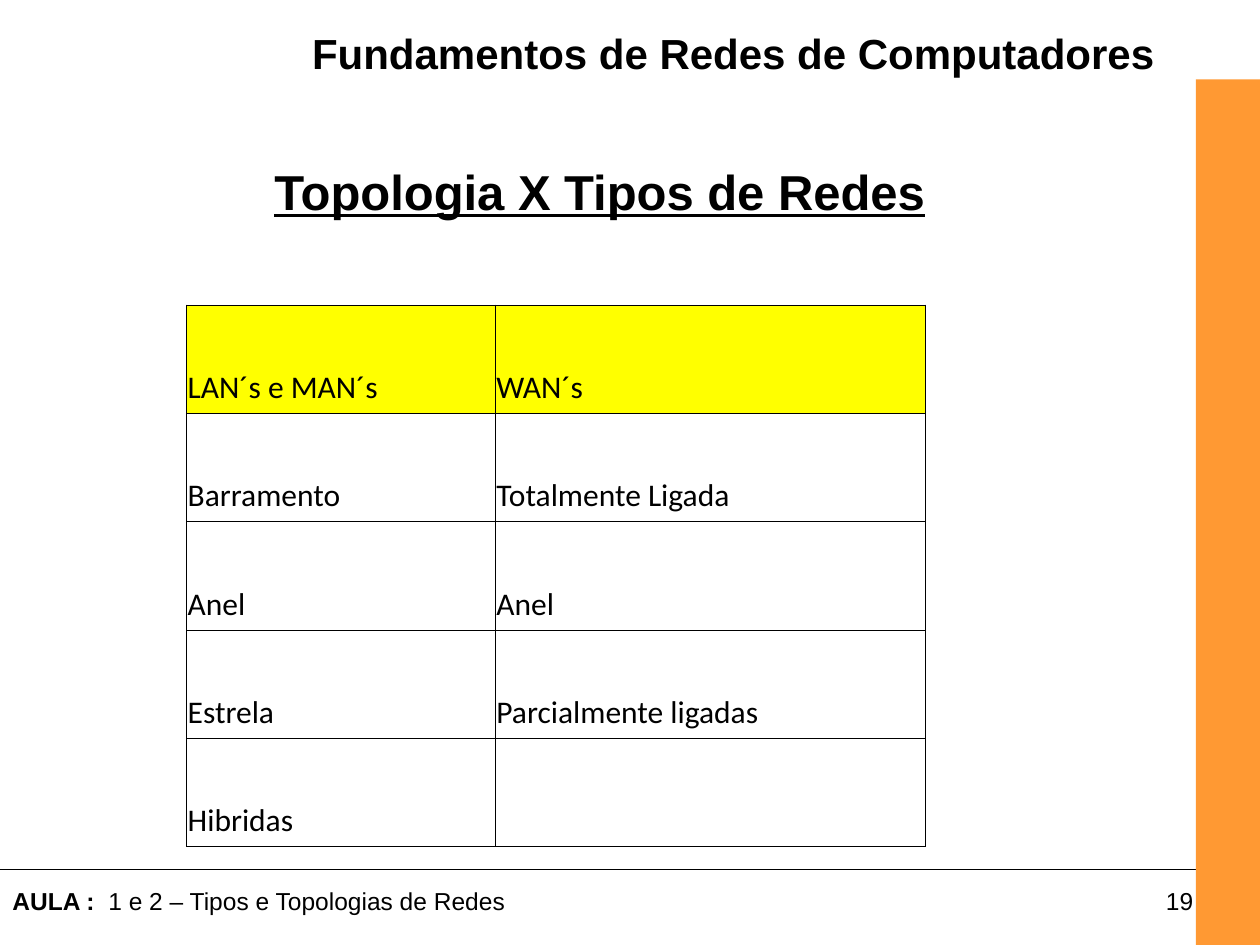
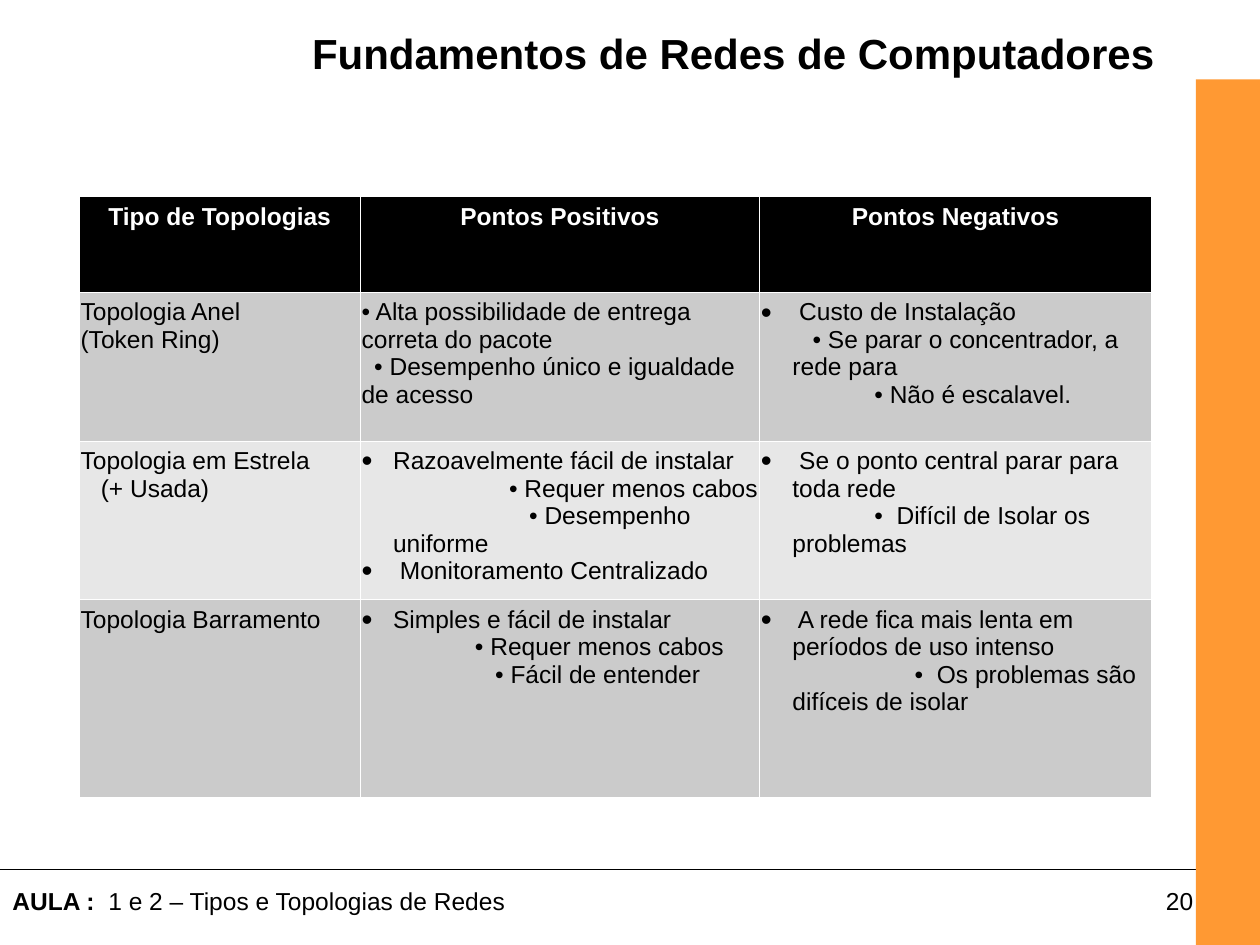
from dataclasses import dataclass

from lxml.etree import SubElement
from pptx import Presentation
from pptx.dml.color import RGBColor
from pptx.enum.shapes import MSO_CONNECTOR, MSO_SHAPE
from pptx.enum.text import MSO_ANCHOR as Anchor, MSO_AUTO_SIZE, PP_ALIGN as Align
from pptx.oxml.ns import qn
from pptx.util import Inches, Pt

BLACK = RGBColor(0x00, 0x00, 0x00)
WHITE = RGBColor(0xFF, 0xFF, 0xFF)
ORANGE = RGBColor(0xFF, 0x99, 0x33)
YELLOW = RGBColor(0xFF, 0xFF, 0x00)
DARK_BAND = RGBColor(0xCB, 0xCB, 0xCB)
LIGHT_BAND = RGBColor(0xE7, 0xE7, 0xE7)

SLIDE_WIDTH, SLIDE_HEIGHT = Inches(10), Inches(7.5)
GRID_COLUMNS, GRID_ROWS = 100, 75
BAND_LEFT, BAND_TOP = 94.9, 6.3
FOOTER_LINE, FOOTER_TOP = 69, 69.8
FIRST_PAGE = 19
BULLET_INDENT = 2.5


def columns(count: float) -> int:
    return round(SLIDE_WIDTH * count / GRID_COLUMNS)


def rows(count: float) -> int:
    return round(SLIDE_HEIGHT * count / GRID_ROWS)


@dataclass(frozen=True)
class Box:
    left: float
    top: float
    width: float
    height: float

    def lengths(self) -> tuple[int, int, int, int]:
        return columns(self.left), rows(self.top), columns(self.width), rows(self.height)


@dataclass(frozen=True)
class TextStyle:
    size: float
    name: str = "Arial"
    color: RGBColor = BLACK
    bold: bool = False
    underline: bool = False
    align: Align = Align.LEFT


@dataclass(frozen=True)
class Item:
    text: str
    first_indent: float = 0
    margin: float = 0
    bulleted: bool = False


@dataclass(frozen=True)
class TableLook:
    left: float
    top: float
    widths: tuple[float, ...]
    heights: tuple[float, ...]
    header: TextStyle
    body: TextStyle
    fills: tuple[RGBColor | None, ...]
    border: RGBColor
    border_width: float
    anchor: Anchor


FOOTER = TextStyle(14)
PAGE_NUMBER = TextStyle(14, align=Align.RIGHT)
COURSE_TITLE = TextStyle(24, bold=True, align=Align.CENTER)
SUBJECT = TextStyle(28, bold=True, underline=True, align=Align.CENTER)
NETWORK_TEXT = TextStyle(18, "Calibri")
COMPARISON_HEADER = TextStyle(14, color=WHITE, bold=True, align=Align.CENTER)

NETWORK_LOOK = TableLook(
    14.8, 24.2, (24.5, 34.1), (8.6,) * 5, NETWORK_TEXT, NETWORK_TEXT,
    (YELLOW, None, None, None, None), BLACK, 0.23, Anchor.BOTTOM)
COMPARISON_LOOK = TableLook(
    6.3, 15.6, (22.3, 31.7, 31.1), (7.6, 11.8, 12.6, 15.7), COMPARISON_HEADER, FOOTER,
    (BLACK, DARK_BAND, LIGHT_BAND, DARK_BAND), WHITE, 0.45, Anchor.TOP)


def bullet(text: str) -> Item:
    return Item(text, -BULLET_INDENT, BULLET_INDENT, True)


def inner(text: str, first_indent: float) -> Item:
    return Item(text, first_indent, BULLET_INDENT)


NETWORK_ROWS = [
    [[Item(text)] for text in pair]
    for pair in (
        ("LAN´s e MAN´s", "WAN´s"),
        ("Barramento", "Totalmente Ligada"),
        ("Anel", "Anel"),
        ("Estrela", "Parcialmente ligadas"),
        ("Hibridas", ""),
    )
]
COMPARISON_ROWS = [
    [[Item("Tipo de Topologias")], [Item("Pontos Positivos")], [Item("Pontos Negativos")]],
    [
        [Item("Topologia Anel"), Item("(Token Ring)")],
        [Item("• Alta possibilidade de entrega correta do pacote"),
         Item("• Desempenho único e igualdade de acesso", 1)],
        [bullet(" Custo de Instalação"),
         inner("• Se parar o concentrador, a rede para", 1.6),
         inner("• Não é escalavel.", 6.5)],
    ],
    [
        [Item("Topologia em Estrela"), Item("(+ Usada)", 1.6)],
        [bullet("Razoavelmente fácil de instalar"),
         inner("• Requer menos cabos", 9.2),
         inner("• Desempenho uniforme", 10.8),
         bullet(" Monitoramento Centralizado")],
        [bullet(" Se o ponto central parar para toda rede"),
         inner("•  Difícil de Isolar os problemas", 6.5)],
    ],
    [
        [Item("Topologia Barramento")],
        [bullet("Simples e fácil de instalar"),
         inner("• Requer menos cabos", 6.5),
         inner("• Fácil de entender", 8.1)],
        [bullet(" A rede fica mais lenta em períodos de uso intenso"),
         inner("•  Os problemas são difíceis de isolar", 9.7)],
    ],
]


def format_paragraph(paragraph, style: TextStyle) -> None:
    paragraph.alignment = style.align
    font = paragraph.font
    font.name, font.size = style.name, Pt(style.size)
    font.bold, font.underline = style.bold, style.underline
    font.color.rgb = style.color


def write_text(shape, text: str, style: TextStyle):
    frame = shape.text_frame
    frame.word_wrap = True
    frame.auto_size = MSO_AUTO_SIZE.NONE
    frame.vertical_anchor = Anchor.TOP
    paragraph = frame.paragraphs[0]
    paragraph.text = text
    format_paragraph(paragraph, style)
    return paragraph


def add_label(slide, box: Box, text: str, style: TextStyle):
    return write_text(slide.shapes.add_textbox(*box.lengths()), text, style)


def set_indent(paragraph, item: Item) -> None:
    properties = paragraph._p.get_or_add_pPr()
    properties.set("marL", str(columns(item.margin)))
    properties.set("indent", str(columns(item.first_indent)))
    if item.bulleted:
        color = SubElement(properties, qn("a:buClr"))
        SubElement(color, qn("a:srgbClr"), val=str(BLACK))
        SubElement(properties, qn("a:buSzPct"), val="128000")
        SubElement(properties, qn("a:buFont"), typeface="Arial")
        SubElement(properties, qn("a:buChar"), char="•")


def set_borders(cell, color: RGBColor, width: float) -> None:
    properties = cell._tc.get_or_add_tcPr()
    for side in ("lnL", "lnR", "lnT", "lnB"):
        line = SubElement(properties, qn(f"a:{side}"), w=str(Pt(width)))
        fill = SubElement(line, qn("a:solidFill"))
        SubElement(fill, qn("a:srgbClr"), val=str(color))


def fill_cell(cell, items: list[Item], style: TextStyle, fill: RGBColor | None,
              look: TableLook) -> None:
    cell.margin_left = cell.margin_right = columns(0.1)
    cell.margin_top = cell.margin_bottom = rows(0.5)
    cell.vertical_anchor = look.anchor
    set_borders(cell, look.border, look.border_width)
    if fill is None:
        cell.fill.background()
    else:
        cell.fill.solid()
        cell.fill.fore_color.rgb = fill
    frame = cell.text_frame
    for index, item in enumerate(items):
        paragraph = frame.add_paragraph() if index else frame.paragraphs[0]
        paragraph.text = item.text
        set_indent(paragraph, item)
        format_paragraph(paragraph, style)


def add_grid_table(slide, content: list[list[list[Item]]], look: TableLook) -> None:
    box = Box(look.left, look.top, sum(look.widths), sum(look.heights))
    table = slide.shapes.add_table(len(content), len(look.widths), *box.lengths()).table
    table.horz_banding = False
    for column, width in zip(table.columns, look.widths):
        column.width = columns(width)
    for row_index, (row, row_items) in enumerate(zip(table.rows, content)):
        row.height = rows(look.heights[row_index])
        style = look.body if row_index else look.header
        for cell, items in zip(row.cells, row_items):
            fill_cell(cell, items, style, look.fills[row_index], look)


def add_course_slide(presentation, page: int):
    slide = presentation.slides.add_slide(presentation.slide_layouts[5])
    add_label(slide, Box(90.1, FOOTER_TOP, 5.6, 5.2), str(page), PAGE_NUMBER)
    footer = add_label(slide, Box(0, FOOTER_TOP, 57.8, 5.2), "AULA :", FOOTER)
    footer.runs[0].font.bold = True
    footer.add_run().text = "  1 e 2 – Tipos e Topologias de Redes"

    line = slide.shapes.add_connector(
        MSO_CONNECTOR.STRAIGHT, 0, rows(FOOTER_LINE), columns(BAND_LEFT), rows(FOOTER_LINE))
    line.line.color.rgb = BLACK
    line.line.width = Pt(0.75)
    SubElement(line._element.spPr, qn("a:effectLst"))

    band_box = Box(BAND_LEFT, BAND_TOP, GRID_COLUMNS - BAND_LEFT, GRID_ROWS - BAND_TOP)
    band = slide.shapes.add_shape(MSO_SHAPE.RECTANGLE, *band_box.lengths())
    band.shadow.inherit = False
    band.fill.solid()
    band.fill.fore_color.rgb = ORANGE
    band.line.fill.background()

    title = slide.shapes.title
    title.left, title.top, title.width, title.height = Box(20.3, 2.1, 75.8, 4.6).lengths()
    write_text(title, "Fundamentos de Redes de Computadores", COURSE_TITLE).line_spacing = 0.9
    return slide


def main() -> None:
    presentation = Presentation()
    presentation.slide_width, presentation.slide_height = SLIDE_WIDTH, SLIDE_HEIGHT

    networks = add_course_slide(presentation, FIRST_PAGE)
    add_label(networks, Box(5, 12.3, 85.2, 10.4), "Topologia X Tipos de Redes", SUBJECT)
    add_grid_table(networks, NETWORK_ROWS, NETWORK_LOOK)

    comparison = add_course_slide(presentation, FIRST_PAGE + 1)
    add_grid_table(comparison, COMPARISON_ROWS, COMPARISON_LOOK)

    presentation.save("out.pptx")


if __name__ == "__main__":
    main()
